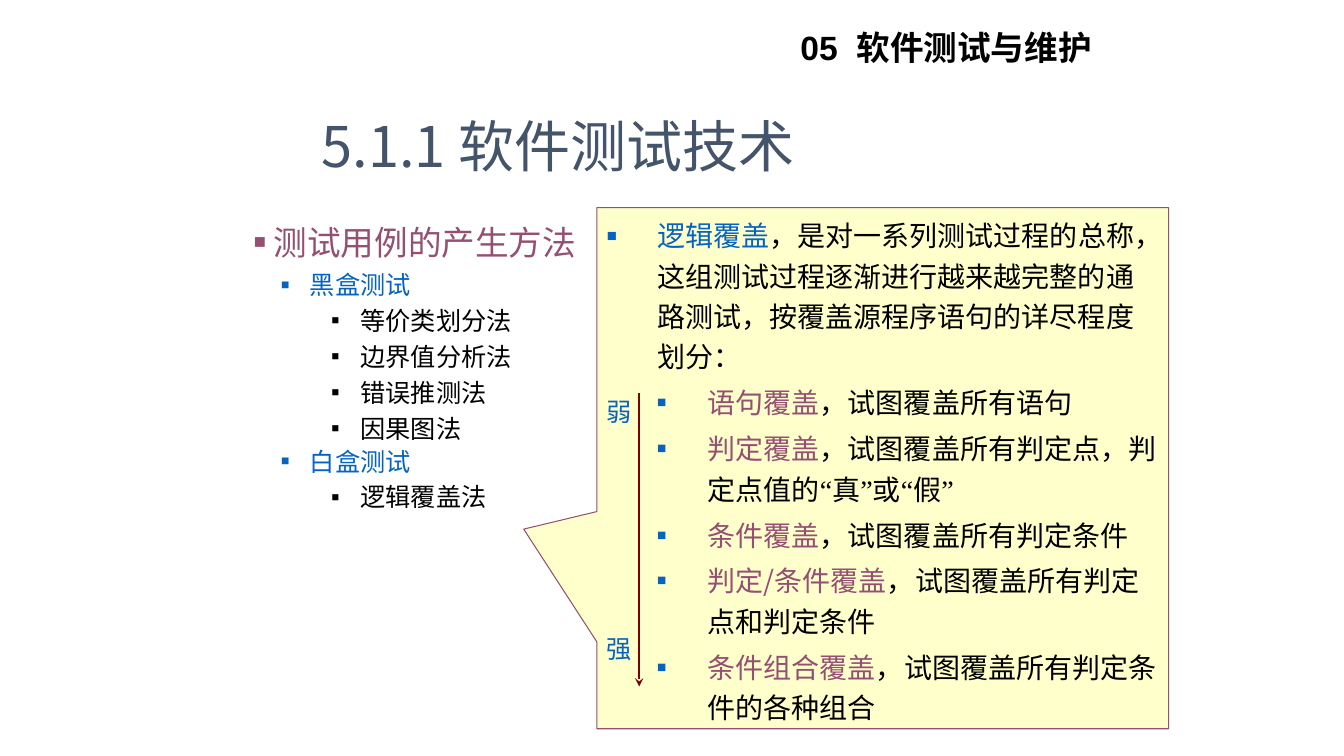
"""Build the slide on software testing techniques and logic coverage."""
import pptx
import pptx.dml.color
import pptx.enum.shapes
import pptx.enum.text
import pptx.oxml
import pptx.oxml.ns
import pptx.util

Inches = pptx.util.Inches
Pt = pptx.util.Pt
qn = pptx.oxml.ns.qn
SANS = "Noto Sans CJK SC"
QUOTES = "Times New Roman"
BLUE, PLUM, BLACK, SLATE = "0563C1", "954F72", "000000", "44546A"
CREAM, MAROON = "FFFFCC", "800000"


def color(value):
    return pptx.dml.color.RGBColor.from_string(value)


def write_paragraph(para, spans, size, line, before, margin=0, indent=0, bullet=None, bold=False):
    para.line_spacing = Pt(line)
    para.space_before = Pt(before)
    properties = para._p.get_or_add_pPr()
    properties.set("marL", str(Inches(margin)))
    properties.set("indent", str(Inches(indent)))
    if bullet:
        bullet_color, percent = bullet
        tint = properties.makeelement(qn("a:buClr"), {})
        tint.append(tint.makeelement(qn("a:srgbClr"), {"val": bullet_color}))
        properties.append(tint)
        for tag, attributes in (
            ("a:buSzPct", {"val": str(percent * 1000)}),
            ("a:buFont", {"typeface": "Arial"}),
            ("a:buChar", {"char": "■"}),
        ):
            properties.append(properties.makeelement(qn(tag), attributes))
    for text, tone, face in spans:
        span = para.add_run()
        span.text = text
        span.font.size = Pt(size)
        span.font.bold = bold
        span.font.color.rgb = color(tone)
        span.font.name = face
        latin = span.font._element.find(qn("a:latin"))
        latin.addnext(latin.makeelement(qn("a:ea"), {"typeface": face}))


deck = pptx.Presentation()
deck.slide_width = Inches(13.33)
deck.slide_height = Inches(7.5)
slide = deck.slides.add_slide(deck.slide_layouts[6])

header = slide.shapes.add_textbox(Inches(7.84), Inches(0.22), Inches(3.25), Inches(0.5))
header.text_frame.word_wrap = False
write_paragraph(header.text_frame.paragraphs[0], [("05  软件测试与维护", BLACK, "Arial")],
                24, 28.8, 2, bold=True)

title = slide.shapes.add_textbox(Inches(3.09), Inches(1.06), Inches(6.58), Inches(0.77))
title.text_frame.word_wrap = True
write_paragraph(title.text_frame.paragraphs[0], [("5.1.1 软件测试技术", SLATE, SANS)], 40, 48, 4)

methods = slide.shapes.add_textbox(Inches(2.42), Inches(2.15), Inches(3.58), Inches(3.3))
methods.text_frame.word_wrap = True
write_paragraph(methods.text_frame.paragraphs[0], [(" 测试用例的产生方法", PLUM, SANS)],
                24, 28.8, 1.7, bullet=(PLUM, 60))
method_groups = [
    (" 黑盒测试", 5.4, [" 等价类划分法", " 边界值分析法", " 错误推测法", " 因果图法"]),
    (" 白盒测试", 1.8, [" 逻辑覆盖法"]),
]
for group_name, before, techniques in method_groups:
    write_paragraph(methods.text_frame.add_paragraph(), [(group_name, BLUE, SANS)],
                    18, 21.6, before, 0.5, -0.23, (BLUE, 55))
    for technique in techniques:
        write_paragraph(methods.text_frame.add_paragraph(), [(technique, BLACK, SANS)],
                        18, 23.8, 1.8, 1, -0.23, (BLACK, 50))

coverage = slide.shapes.add_group_shape()
callout = coverage.shapes.add_shape(
    pptx.enum.shapes.MSO_SHAPE.RECTANGULAR_CALLOUT,
    Inches(5.92), Inches(2.06), Inches(5.67), Inches(5.17))
callout.adjustments[0] = -0.628
callout.adjustments[1] = 0.117
callout.shadow.inherit = False
callout.fill.solid()
callout.fill.fore_color.rgb = color(CREAM)
callout.line.color.rgb = color(PLUM)
callout.line.width = Pt(0.75)
callout.text_frame.word_wrap = True
callout.text_frame.vertical_anchor = pptx.enum.text.MSO_ANCHOR.MIDDLE

coverage_levels = [
    ("逻辑覆盖", ["，是对一系列测试过程的总称，这组测试过程逐渐进行越来越完整的通路测试，"
              "按覆盖源程序语句的详尽程度划分："]),
    ("语句覆盖", ["，试图覆盖所有语句"]),
    ("判定覆盖", ["，试图覆盖所有判定点，判定点值的", "“", "真", "”", "或", "“", "假", "”"]),
    ("条件覆盖", ["，试图覆盖所有判定条件"]),
    ("判定/条件覆盖", ["，试图覆盖所有判定点和判定条件"]),
    ("条件组合覆盖", ["，试图覆盖所有判定条件的各种组合"]),
]
for index, (term, pieces) in enumerate(coverage_levels):
    frame = callout.text_frame
    para = frame.add_paragraph() if index else frame.paragraphs[0]
    para.alignment = pptx.enum.text.PP_ALIGN.LEFT
    spans = [(term, PLUM if index else BLUE, SANS)]
    spans += [(piece, BLACK, QUOTES if piece in "“”" else SANS) for piece in pieces]
    write_paragraph(para, spans, 20, 28.8, 4, 1 if index else 0.5, -0.5,
                    (BLUE, 55 if index else 60))

arrow = coverage.shapes.add_connector(
    pptx.enum.shapes.MSO_CONNECTOR.STRAIGHT,
    Inches(6.34), Inches(3.9), Inches(6.34), Inches(6.81))
arrow.line.color.rgb = color(MAROON)
arrow.line.width = Pt(1.75)
outline = arrow.line._get_or_add_ln()
outline.append(outline.makeelement(qn("a:tailEnd"), {"type": "stealth"}))
arrow_properties = arrow._element.spPr
arrow_properties.append(arrow_properties.makeelement(qn("a:effectLst"), {}))

for strength, top in (("弱", 3.88), ("强", 6.23)):
    label = coverage.shapes.add_textbox(Inches(5.92), Inches(top), Inches(0.5), Inches(0.43))
    label.text_frame.word_wrap = True
    write_paragraph(label.text_frame.paragraphs[0], [(strength, BLUE, "Calibri")], 18, 21.6, 1.7)

deck.save("out.pptx")
